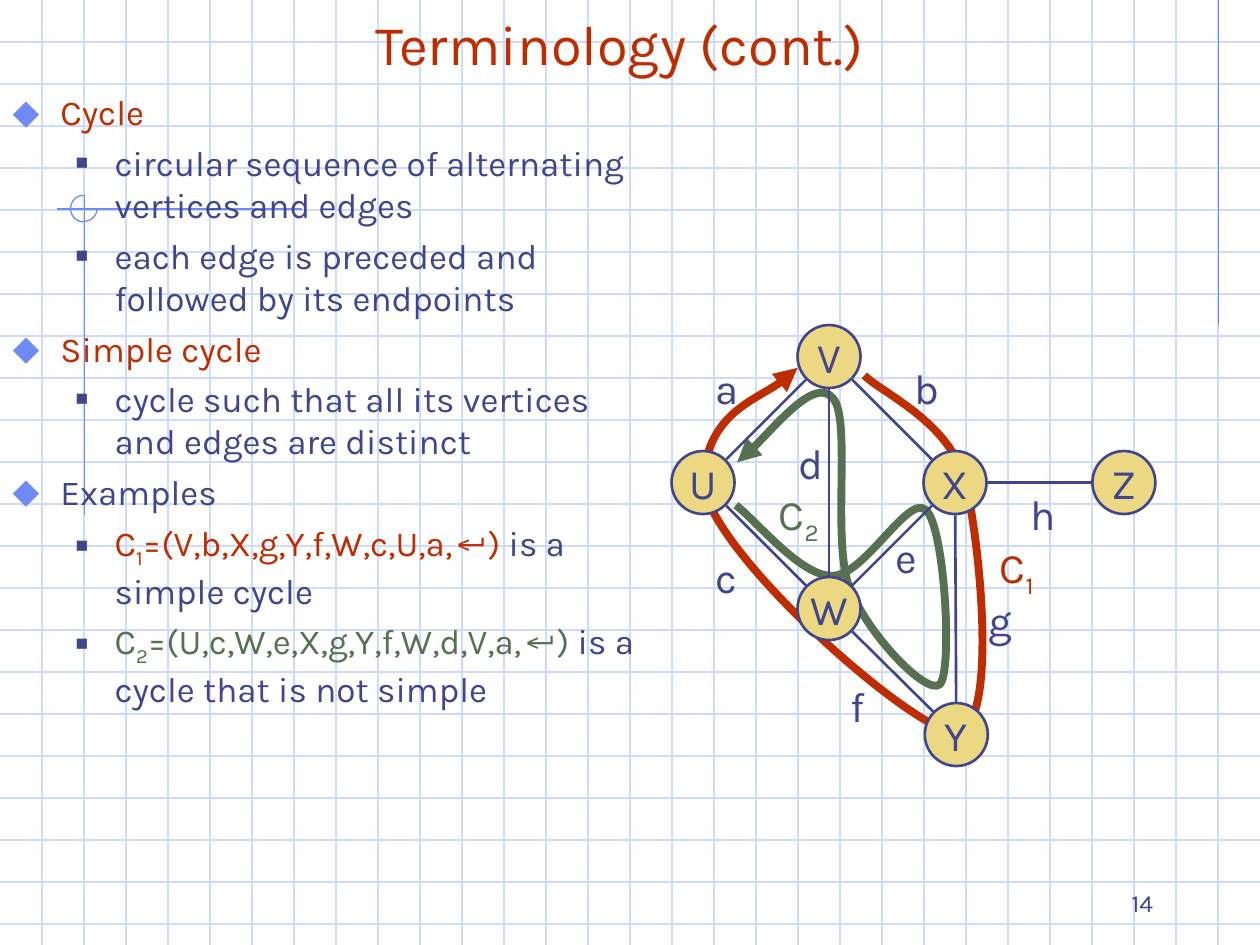
"""Build a slide on cycles in graphs, with a sample graph."""
from dataclasses import dataclass
from math import hypot

from lxml.etree import SubElement
from pptx import Presentation
from pptx.dml.color import RGBColor
from pptx.enum.shapes import MSO_CONNECTOR, MSO_SHAPE
from pptx.enum.text import MSO_ANCHOR, MSO_AUTO_SIZE, PP_ALIGN
from pptx.oxml.ns import qn
from pptx.util import Inches, Pt

NAVY = RGBColor(0x40, 0x45, 0x8C)
RED = RGBColor(0xBE, 0x2D, 0x00)
GREEN = RGBColor(0x57, 0x70, 0x52)
GOLD = RGBColor(0xEC, 0xD8, 0x82)
BLUE = RGBColor(0x6F, 0x89, 0xF7)
PALE = RGBColor(0xCF, 0xDB, 0xFD)

WIDE, HIGH, STEP = 10, 7.5, 1 / 3
SIZE = 0.5
REACH = 0.26


@dataclass
class Run:
    text: str
    color: RGBColor = NAVY
    face: str = "Karla"
    base: int = 0


@dataclass
class Item:
    level: int
    runs: list[Run]


@dataclass
class Mark:
    char: str
    color: RGBColor
    scale: int
    left: float
    hang: float


@dataclass
class Node:
    name: str
    x: float
    y: float


@dataclass
class Label:
    runs: list[Run]
    x: float
    y: float
    wide: float = 0.4
    high: float = 0.5


def named(sub: str, color: RGBColor) -> list[Run]:
    return [Run("C", color), Run(sub, color, base=-25)]


def trail(sub: str, color: RGBColor, steps: str, rest: str) -> list[Run]:
    return named(sub, color) + [Run(f"=({steps},", color), Run("↵", color, "Arial"),
                                Run(")", color), Run(rest)]


MARKS = [Mark("⬥", BLUE, 110, 0.38, 0.38), Mark("■", NAVY, 60, 0.81, 0.31)]
ITEMS = [
    Item(0, [Run("Cycle", RED)]),
    Item(1, [Run("circular sequence of alternating vertices and edges")]),
    Item(1, [Run("each edge is preceded and followed by its endpoints")]),
    Item(0, [Run("Simple cycle", RED)]),
    Item(1, [Run("cycle such that all its vertices and edges are distinct")]),
    Item(0, [Run("Examples")]),
    Item(1, trail("1", RED, "V,b,X,g,Y,f,W,c,U,a", " is a simple cycle")),
    Item(1, trail("2", GREEN, "U,c,W,e,X,g,Y,f,W,d,V,a", " is a cycle that is not simple")),
]
NODES = [Node("X", 7.58, 3.83), Node("U", 5.58, 3.83), Node("V", 6.58, 2.83),
         Node("W", 6.58, 4.83), Node("Z", 8.92, 3.83), Node("Y", 7.59, 5.83)]
EDGES = ["VU", "WU", "WX", "XZ", "VX", "VW", "WY", "XY"]
LABELS = [
    Label([Run("a")], 5.58, 2.83, 0.38), Label([Run("c")], 5.58, 4.33, 0.36),
    Label([Run("b")], 7.16, 2.83), Label([Run("e")], 7, 4.17, 0.39),
    Label([Run("d")], 6.24, 3.42), Label([Run("f")], 6.65, 5.35, 0.31),
    Label([Run("g")], 7.74, 4.67), Label([Run("h")], 8.08, 3.83),
    Label(named("1", RED), 7.81, 4.25, 0.52, 0.56),
    Label(named("2", GREEN), 6.08, 3.83, 0.52, 0.56),
]
RING = [(0.67, 1.55), (0.62, 1.55), (0.59, 1.57), (0.57, 1.61), (0.55, 1.65),
        (0.56, 1.7), (0.59, 1.73), (0.62, 1.76), (0.66, 1.77), (0.7, 1.75),
        (0.74, 1.74), (0.77, 1.7), (0.77, 1.66)]
OUTER = [(6.86, 2.98), (7, 3.12), (7.54, 3.35), (7.66, 3.82), (7.78, 4.3),
         (7.93, 5.82), (7.58, 5.81), (7.24, 5.81), (5.54, 4.3), (5.58, 3.79),
         (5.63, 3.28), (6.18, 3.1), (6.33, 2.92)]
INNER = [(5.85, 3.67), (5.98, 3.58), (6.47, 2.99), (6.61, 3.16), (6.76, 3.32),
         (6.6, 4.28), (6.74, 4.66), (6.88, 5.03), (7.36, 5.53), (7.46, 5.43),
         (7.56, 5.33), (7.5, 4.19), (7.35, 4.05), (7.21, 3.91), (6.86, 4.58),
         (6.6, 4.57), (6.35, 4.57), (6, 4.13), (5.84, 4.01)]


def write(par, text: str, *, size: float = 24, color: RGBColor = NAVY,
          face: str = "Karla", base: int = 0) -> None:
    run = par.add_run()
    run.text = text
    run.font.size, run.font.name = Pt(size), face
    run.font.color.rgb = color
    if base:
        run.font._element.set("baseline", str(base * 1000))


def write_all(par, runs: list[Run], size: float) -> None:
    for run in runs:
        write(par, run.text, size=size, color=run.color, face=run.face, base=run.base)


def place(shape, x: float, y: float, wide: float, high: float) -> None:
    shape.left, shape.top = Inches(x), Inches(y)
    shape.width, shape.height = Inches(wide), Inches(high)


def draw_line(shapes, x1: float, y1: float, x2: float, y2: float,
              color: RGBColor, weight: float = 0.75) -> None:
    line = shapes.add_connector(MSO_CONNECTOR.STRAIGHT, *map(Inches, (x1, y1, x2, y2)))
    line.line.color.rgb, line.line.width = color, Pt(weight)
    SubElement(line.element.spPr, qn("a:effectLst"))


def draw_curve(shapes, points: list[tuple[float, float]], color: RGBColor,
               weight: float, end: str = "") -> None:
    spots = [(Inches(x), Inches(y)) for x, y in points]
    pen = shapes.build_freeform(*spots[0])
    pen.add_line_segments(spots[1:], close=False)
    shape = pen.convert_to_shape()
    shape.shadow.inherit = False
    shape.fill.background()
    shape.line.color.rgb, shape.line.width = color, Pt(weight)
    track = shape.element.find(".//" + qn("a:path"))
    legs = track.findall(qn("a:lnTo"))
    for start in range(0, len(legs), 3):
        bend = SubElement(track, qn("a:cubicBezTo"))
        for leg in legs[start:start + 3]:
            bend.append(leg[0])
            track.remove(leg)
    if end:
        SubElement(shape.line._get_or_add_ln(), qn(end), type="triangle")


def draw_back(shapes) -> None:
    for row in range(1, 23):
        draw_line(shapes, 0, row * STEP, WIDE, row * STEP, PALE)
    for col in range(1, 30):
        draw_line(shapes, col * STEP, 0, col * STEP, HIGH, PALE)
    draw_line(shapes, 9.67, 0, 9.67, 2.58, BLUE)
    draw_line(shapes, 2.4, 1.66, 0.45, 1.66, BLUE)
    draw_line(shapes, 0.67, 1.55, 0.67, 4.09, BLUE)
    draw_curve(shapes, RING, BLUE, 0.75)


def draw_node(shapes, node: Node) -> None:
    disc = shapes.add_shape(MSO_SHAPE.OVAL, Inches(node.x - SIZE / 2),
                            Inches(node.y - SIZE / 2), Inches(SIZE), Inches(SIZE))
    disc.shadow.inherit = False
    disc.fill.solid()
    disc.fill.fore_color.rgb = GOLD
    disc.line.color.rgb, disc.line.width = NAVY, Pt(1.5)
    frame = disc.text_frame
    frame.word_wrap, frame.vertical_anchor = False, MSO_ANCHOR.MIDDLE
    frame.paragraphs[0].alignment = PP_ALIGN.CENTER
    write(frame.paragraphs[0], node.name)


def draw_edge(shapes, a: Node, b: Node) -> None:
    span = hypot(b.x - a.x, b.y - a.y)
    dx, dy = (b.x - a.x) * REACH / span, (b.y - a.y) * REACH / span
    draw_line(shapes, a.x + dx, a.y + dy, b.x - dx, b.y - dy, NAVY, 1.5)


def draw_label(shapes, label: Label) -> None:
    box = shapes.add_textbox(0, 0, 0, 0)
    place(box, label.x, label.y, label.wide, label.high)
    box.text_frame.word_wrap = False
    box.text_frame.auto_size = MSO_AUTO_SIZE.SHAPE_TO_FIT_TEXT
    par = box.text_frame.paragraphs[0]
    par.alignment = PP_ALIGN.CENTER
    write_all(par, label.runs, 24)


def fill_title(title) -> None:
    place(title, 0.67, 0.33, 8.5, 0.33)
    frame = title.text_frame
    frame.auto_size, frame.vertical_anchor = MSO_AUTO_SIZE.NONE, MSO_ANCHOR.BOTTOM
    frame.paragraphs[0].alignment = PP_ALIGN.CENTER
    write(frame.paragraphs[0], "Terminology (cont.)", size=32, color=RED)


def fill_list(body) -> None:
    place(body, 0, 0.67, 5.33, 5.92)
    frame = body.text_frame
    frame.auto_size = MSO_AUTO_SIZE.NONE
    for rank, item in enumerate(ITEMS):
        par = frame.add_paragraph() if rank else frame.paragraphs[0]
        mark = MARKS[item.level]
        par.level = item.level
        props = par._p.get_or_add_pPr()
        props.set("marL", str(Inches(mark.left)))
        props.set("indent", str(-Inches(mark.hang)))
        tint = SubElement(props, qn("a:buClr"))
        SubElement(tint, qn("a:srgbClr"), val=str(mark.color))
        SubElement(props, qn("a:buSzPct"), val=str(mark.scale * 1000))
        SubElement(props, qn("a:buChar"), char=mark.char)
        par.space_before = Pt(5 if rank else 0)
        write_all(par, item.runs, 20)


def main() -> None:
    deck = Presentation()
    deck.slide_width, deck.slide_height = Inches(WIDE), Inches(HIGH)
    shapes = deck.slides.add_slide(deck.slide_layouts[1]).shapes
    title, body = shapes.placeholders
    draw_back(shapes)
    draw_curve(shapes, OUTER, RED, 4.5, "a:tailEnd")
    for holder in (title, body):
        shapes.element.append(holder.element)
    fill_title(title)
    fill_list(body)
    draw_curve(shapes, INNER, GREEN, 4.5, "a:headEnd")
    nodes = {node.name: node for node in NODES}
    for node in NODES:
        draw_node(shapes, node)
    for a, b in EDGES:
        draw_edge(shapes, nodes[a], nodes[b])
    for label in LABELS:
        draw_label(shapes, label)
    page = shapes.add_textbox(Inches(7.17), Inches(6.83), Inches(2.08), Inches(0.5))
    page.text_frame.word_wrap = True
    page.text_frame.vertical_anchor = MSO_ANCHOR.BOTTOM
    page.text_frame.paragraphs[0].alignment = PP_ALIGN.RIGHT
    write(page.text_frame.paragraphs[0], "14", size=14)
    deck.save("out.pptx")


if __name__ == "__main__":
    main()
